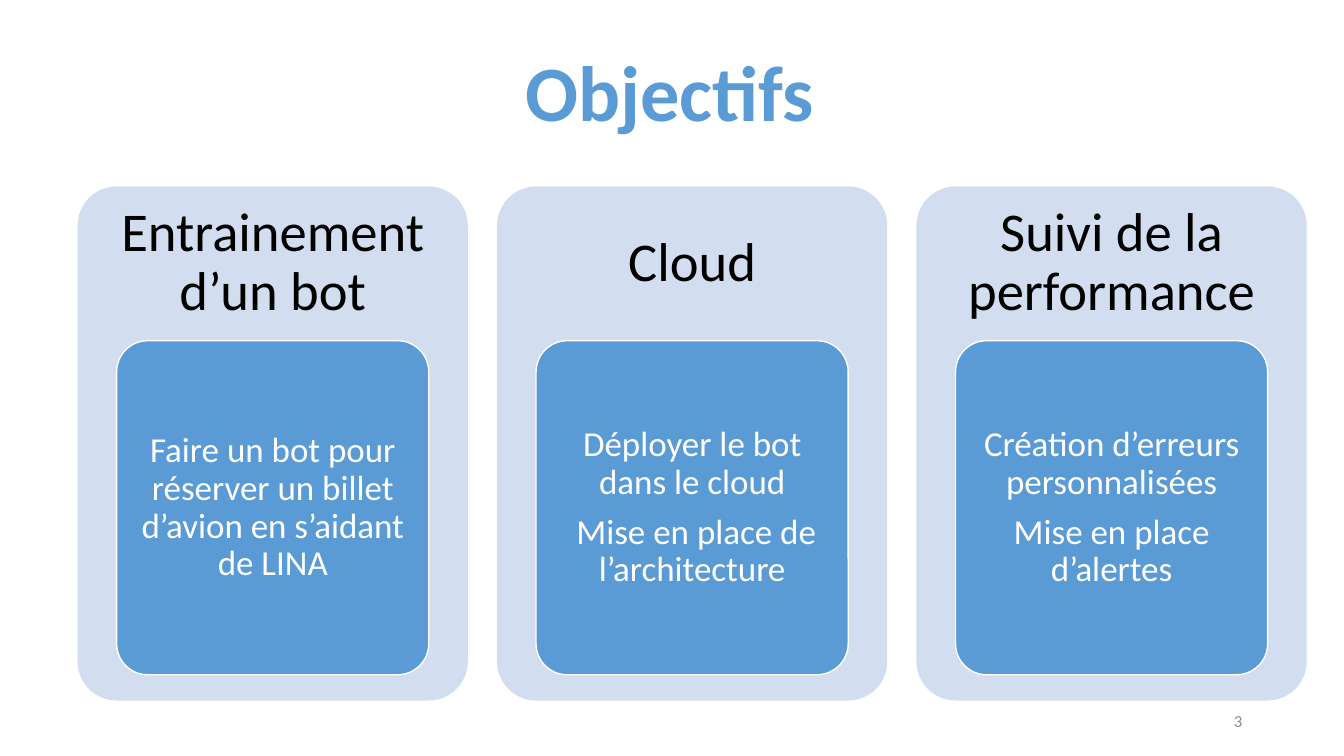
from dataclasses import dataclass

from pptx import Presentation
from pptx.dml.color import RGBColor
from pptx.enum.shapes import MSO_SHAPE
from pptx.enum.text import MSO_ANCHOR, PP_ALIGN
from pptx.util import Inches, Pt


@dataclass(frozen=True)
class Theme:
    font: str = "Calibri"
    accent: str = "5B9BD5"
    panel: str = "D2DEEF"
    dark: str = "000000"
    light: str = "FFFFFF"
    muted: str = "8C8C8C"
    title_size: int = 56
    heading_size: int = 39
    body_size: int = 25
    number_size: int = 12


THEME = Theme()

OBJECTIVES = [
    ("Entrainement d’un bot",
     ["Faire un bot pour réserver un billet d’avion en s’aidant de LINA"]),
    ("Cloud",
     ["Déployer le bot dans le cloud", " Mise en place de l’architecture"]),
    ("Suivi de la performance",
     ["Création d’erreurs personnalisées", "Mise en place d’alertes"]),
]


def set_values(target, values):
    for name, value in values.items():
        setattr(target, name, value)


def add_text(slide, box, lines, size, color, bold=False, align=PP_ALIGN.CENTER,
             anchor=MSO_ANCHOR.MIDDLE, insets=(0.1, 0.05), spacing=1.0):
    frame = slide.shapes.add_textbox(*map(Inches, box)).text_frame
    side, edge = map(Inches, insets)
    set_values(frame, {
        "word_wrap": True, "vertical_anchor": anchor,
        "margin_left": side, "margin_right": side,
        "margin_top": edge, "margin_bottom": edge,
    })
    for index, line in enumerate(lines):
        paragraph = frame.add_paragraph() if index else frame.paragraphs[0]
        # Paragraphs are set apart by 35 % of the type size
        gap = Pt(0.35 * size) if index else Pt(0)
        set_values(paragraph, {"alignment": align, "line_spacing": spacing,
                               "space_before": gap})
        run = paragraph.add_run()
        run.text = line
        set_values(run.font, {"name": THEME.font, "size": Pt(size), "bold": bold})
        run.font.color.rgb = RGBColor.from_string(color)


def add_rounded(slide, box, fill, line=None):
    shape = slide.shapes.add_shape(MSO_SHAPE.ROUNDED_RECTANGLE, *map(Inches, box))
    shape.shadow.inherit = False
    shape.adjustments[0] = 0.1
    shape.fill.solid()
    shape.fill.fore_color.rgb = RGBColor.from_string(fill)
    if line:
        shape.line.color.rgb = RGBColor.from_string(line)
        shape.line.width = Pt(1)
    else:
        shape.line.fill.background()


def add_objective(slide, box, heading, details):
    left, top, width, height = box
    heading_height = 0.3 * height
    # Pale panel with its heading
    add_rounded(slide, box, THEME.panel)
    add_text(slide, (left, top, width, heading_height), [heading],
             THEME.heading_size, THEME.dark, insets=(0.16, 0.16), spacing=0.9)
    # Blue card with the details
    card_left, card_top = left + 0.1 * width, top + heading_height
    card_width, card_height = 0.8 * width, 0.65 * height
    add_rounded(slide, (card_left, card_top, card_width, card_height),
                THEME.accent, THEME.light)
    pad = 0.09
    add_text(slide, (card_left + pad, card_top + pad,
                     card_width - 2 * pad, card_height - 2 * pad),
             details, THEME.body_size, THEME.light, insets=(0.07, 0.05), spacing=0.9)


def add_objectives(slide, box):
    left, top, width, height = box
    gap = 0.29
    count = len(OBJECTIVES)
    panel_width = (width - gap * (count - 1)) / count
    for index, (heading, details) in enumerate(OBJECTIVES):
        panel_left = left + index * (panel_width + gap)
        add_objective(slide, (panel_left, top, panel_width, height), heading, details)


def main():
    presentation = Presentation()
    set_values(presentation, {"slide_width": Inches(13.33),
                              "slide_height": Inches(7.5)})
    slide = presentation.slides.add_slide(presentation.slide_layouts[6])

    # Slide number
    add_text(slide, (9.42, 6.95, 3, 0.4), ["3"], THEME.number_size, THEME.muted,
             align=PP_ALIGN.RIGHT)
    # Three objectives side by side
    add_objectives(slide, (0.77, 1.85, 12.19, 5.1))
    # Title
    add_text(slide, (3.23, 0.38, 6.82, 1.04), ["Objectifs"], THEME.title_size,
             THEME.accent, bold=True, anchor=MSO_ANCHOR.TOP)

    presentation.save("out.pptx")


if __name__ == "__main__":
    main()
